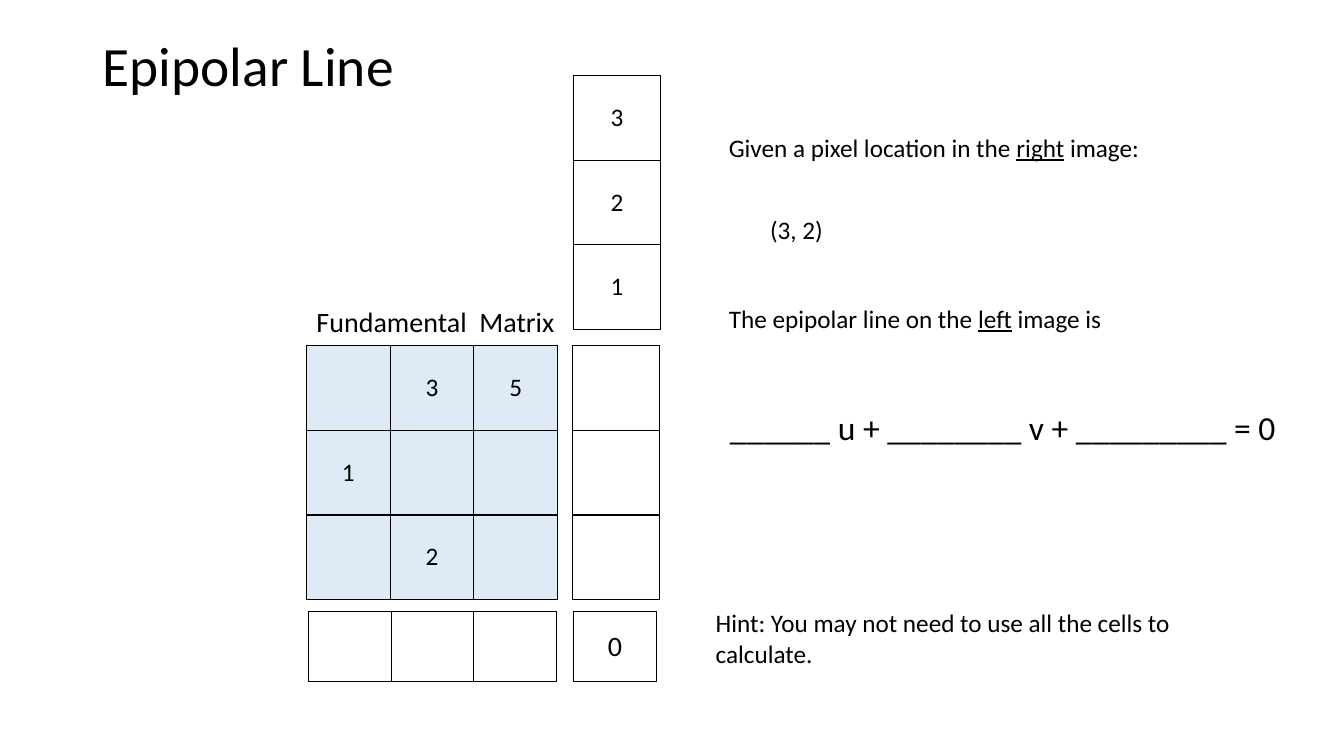
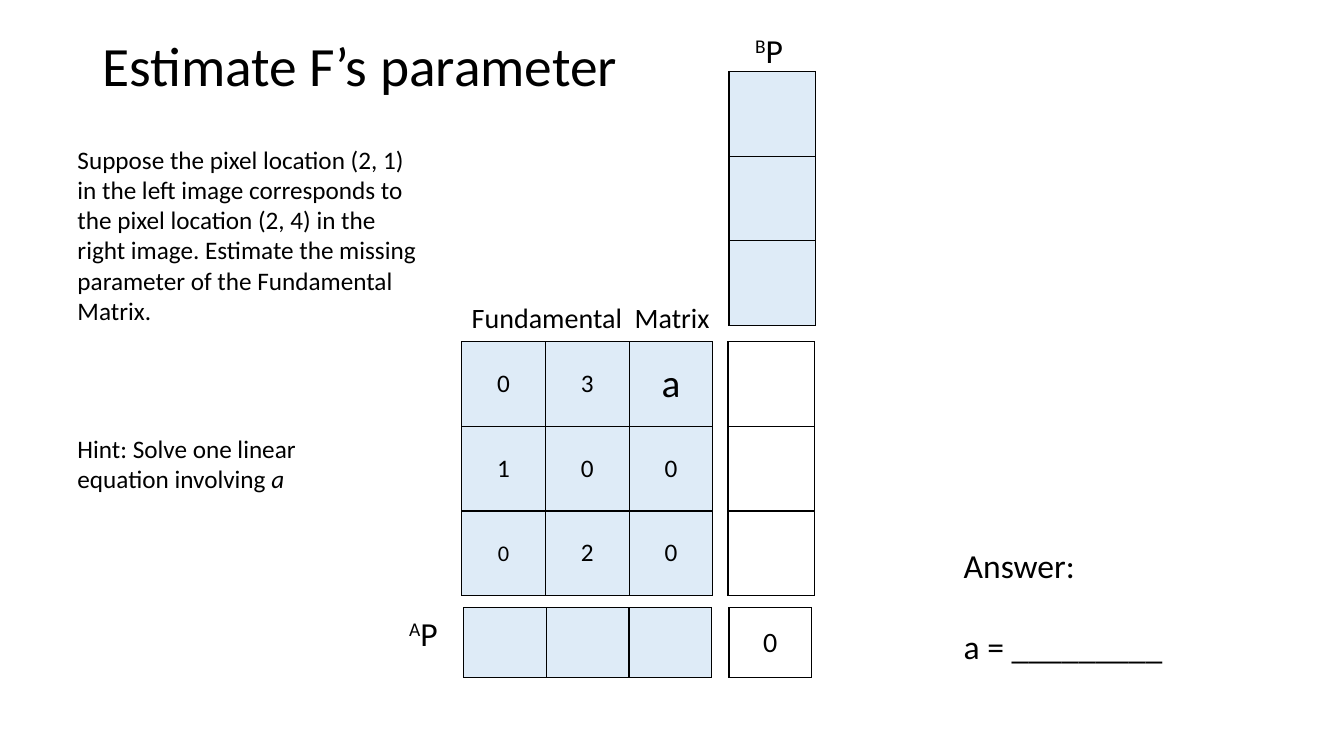
from dataclasses import dataclass
from typing import Optional

from lxml.etree import SubElement
from pptx import Presentation
from pptx.dml.color import RGBColor
from pptx.enum.text import MSO_ANCHOR, MSO_AUTO_SIZE, PP_ALIGN
from pptx.oxml.ns import qn
from pptx.slide import Slide
from pptx.table import _Cell
from pptx.text.text import _Paragraph
from pptx.util import Inches, Pt


@dataclass(frozen=True)
class Theme:
    font: str = "Calibri"
    ink: RGBColor = RGBColor(0x00, 0x00, 0x00)
    given: RGBColor = RGBColor(0xDE, 0xEB, 0xF7)
    title: float = 39.6
    variable: float = 28
    equation: float = 24
    label: float = 20
    body: float = 18
    small: float = 16
    border: float = 1


THEME = Theme()


@dataclass(frozen=True)
class Span:
    text: str
    size: float = THEME.body
    underline: bool = False
    italic: bool = False
    superscript: bool = False


@dataclass(frozen=True)
class Note:
    left: float
    top: float
    width: float
    height: float
    paragraphs: tuple[tuple[Span, ...], ...]
    wrap: bool = False
    gap: float = 0


@dataclass(frozen=True)
class Grid:
    left: float
    top: float
    cell_width: float
    cell_height: float
    rows: tuple[tuple[Optional[Span], ...], ...]
    shaded: bool = False


@dataclass(frozen=True)
class Worksheet:
    """One exercise; left and top place the fundamental matrix."""
    title: str
    left: float
    top: float
    matrix: tuple[tuple[Optional[Span], ...], ...]
    right_point: tuple[Optional[Span], ...]
    points_shaded: bool
    notes: tuple[Note, ...]


CELL_HEIGHT = 0.84
BLANKS = (None, None, None)


def add_spans(para: _Paragraph, spans: tuple[Span, ...]) -> None:
    for span in spans:
        run = para.add_run()
        run.text = span.text
        font = run.font
        font.name = THEME.font
        font.size = Pt(span.size)
        font.color.rgb = THEME.ink
        if span.underline:
            font.underline = True
        if span.italic:
            font.italic = True
        if span.superscript:
            run._r.get_or_add_rPr().set("baseline", "30000")


def add_note(page: Slide, note: Note) -> None:
    box = page.shapes.add_textbox(Inches(note.left), Inches(note.top),
                                  Inches(note.width), Inches(note.height))
    frame = box.text_frame
    frame.word_wrap = note.wrap
    frame.auto_size = MSO_AUTO_SIZE.SHAPE_TO_FIT_TEXT
    for index, spans in enumerate(note.paragraphs):
        para = frame.add_paragraph() if index else frame.paragraphs[0]
        if index:
            para.space_before = Pt(note.gap)
        add_spans(para, spans)


def add_title(page: Slide, text: str) -> None:
    box = page.shapes.add_textbox(Inches(0.92), Inches(0.4), Inches(11.5), Inches(0.55))
    frame = box.text_frame
    frame.word_wrap = True
    frame.vertical_anchor = MSO_ANCHOR.MIDDLE
    para = frame.paragraphs[0]
    para.line_spacing = 0.9
    add_spans(para, (Span(text, THEME.title),))


def set_borders(cell: _Cell) -> None:
    properties = cell._tc.get_or_add_tcPr()
    for side in ("a:lnL", "a:lnR", "a:lnT", "a:lnB"):
        line = SubElement(properties, qn(side), w=str(Pt(THEME.border)))
        fill = SubElement(line, qn("a:solidFill"))
        SubElement(fill, qn("a:srgbClr"), val=str(THEME.ink))


def add_grid(page: Slide, grid: Grid) -> None:
    row_count, column_count = len(grid.rows), len(grid.rows[0])
    table = page.shapes.add_table(
        row_count, column_count, Inches(grid.left), Inches(grid.top),
        Inches(grid.cell_width * column_count),
        Inches(grid.cell_height * row_count)).table
    table.first_row = False
    table.horz_banding = False
    for row_index, row in enumerate(grid.rows):
        for column_index, span in enumerate(row):
            cell = table.cell(row_index, column_index)
            set_borders(cell)
            if grid.shaded:
                cell.fill.solid()
                cell.fill.fore_color.rgb = THEME.given
            else:
                cell.fill.background()
            cell.vertical_anchor = MSO_ANCHOR.MIDDLE
            para = cell.text_frame.paragraphs[0]
            para.alignment = PP_ALIGN.CENTER
            if span:
                add_spans(para, (span,))


def as_column(spans: tuple[Optional[Span], ...]) -> tuple[tuple[Optional[Span], ...], ...]:
    return tuple((span,) for span in spans)


def add_worksheet(page: Slide, sheet: Worksheet) -> None:
    left, top = sheet.left, sheet.top
    side = left + 2.65
    bottom = top + 2.64
    zero = Span("0", THEME.label)
    add_title(page, sheet.title)
    for grid in (
        Grid(left, top, 0.83, CELL_HEIGHT, sheet.matrix, True),
        Grid(side - 0.01, top, 0.86, CELL_HEIGHT, as_column(BLANKS)),
        Grid(side, top - 2.68, 0.86, CELL_HEIGHT,
             as_column(sheet.right_point), sheet.points_shaded),
        Grid(left + 0.02, bottom, 0.82, 0.69, (BLANKS,), sheet.points_shaded),
        Grid(side, bottom, 0.82, 0.69, ((zero,),)),
    ):
        add_grid(page, grid)
    heading = Note(left, top - 0.46, 2.59, 0.44,
                   ((Span("Fundamental  Matrix", THEME.label),),))
    for note in (heading, *sheet.notes):
        add_note(page, note)


def point_label(left: float, top: float, frame_name: str) -> Note:
    return Note(left, top, 0.5, 0.5, ((
        Span(frame_name, THEME.equation, superscript=True),
        Span("P", THEME.equation)),))


EPIPOLAR_LINE = Worksheet(
    title="Epipolar Line", left=3.04, top=3.43,
    matrix=((None, Span("3"), Span("5")),
            (Span("1"), None, None),
            (None, Span("2"), None)),
    right_point=(Span("3"), Span("2"), Span("1")),
    points_shaded=False,
    notes=(
        Note(7.13, 1.26, 4.32, 0.4, ((
            Span("Given a pixel location in the "),
            Span("right", underline=True), Span(" image:")),)),
        Note(7.54, 2.08, 0.73, 0.4, ((Span("(3, 2)"),),)),
        Note(7.13, 2.96, 3.95, 0.4, ((
            Span("The epipolar line on the "),
            Span("left", underline=True), Span(" image is")),)),
        Note(7.14, 3.99, 5.68, 0.5, ((
            Span("______ u + ________ v + _________ = 0", THEME.equation),),)),
        Note(7, 5.98, 4.9, 0.71, ((
            Span("Hint: You may not need to use all the cells to calculate."),),),
            wrap=True),
    ),
)

ESTIMATE_PARAMETER = Worksheet(
    title="Estimate F’s parameter", left=4.58, top=3.39,
    matrix=((Span("0"), Span("3"), Span("a", THEME.variable)),
            (Span("1"), Span("0"), Span("0")),
            (Span("0", THEME.small), Span("2"), Span("0"))),
    right_point=BLANKS,
    points_shaded=True,
    notes=(
        Note(9.46, 5.36, 2.2, 1.31, (
            (Span("Answer:", THEME.equation),),
            (Span("a = _________", THEME.equation),)), gap=29),
        Note(0.67, 1.38, 3.61, 1.92, ((
            Span("Suppose the pixel location (2, 1) in the left image corresponds "
                 "to the pixel location (2, 4) in the right image. Estimate the "
                 "missing parameter of the Fundamental Matrix."),),), wrap=True),
        Note(0.67, 4.25, 2.69, 0.71, ((
            Span("Hint: Solve one linear equation involving "),
            Span("a", italic=True)),), wrap=True),
        point_label(3.96, 6.03, "A"),
        point_label(7.39, 0.25, "B"),
    ),
)


def main() -> None:
    deck = Presentation()
    deck.slide_width = Inches(13.33)
    deck.slide_height = Inches(7.5)
    blank_layout = deck.slide_layouts[6]
    for sheet in (EPIPOLAR_LINE, ESTIMATE_PARAMETER):
        add_worksheet(deck.slides.add_slide(blank_layout), sheet)
    deck.save("out.pptx")


if __name__ == "__main__":
    main()
